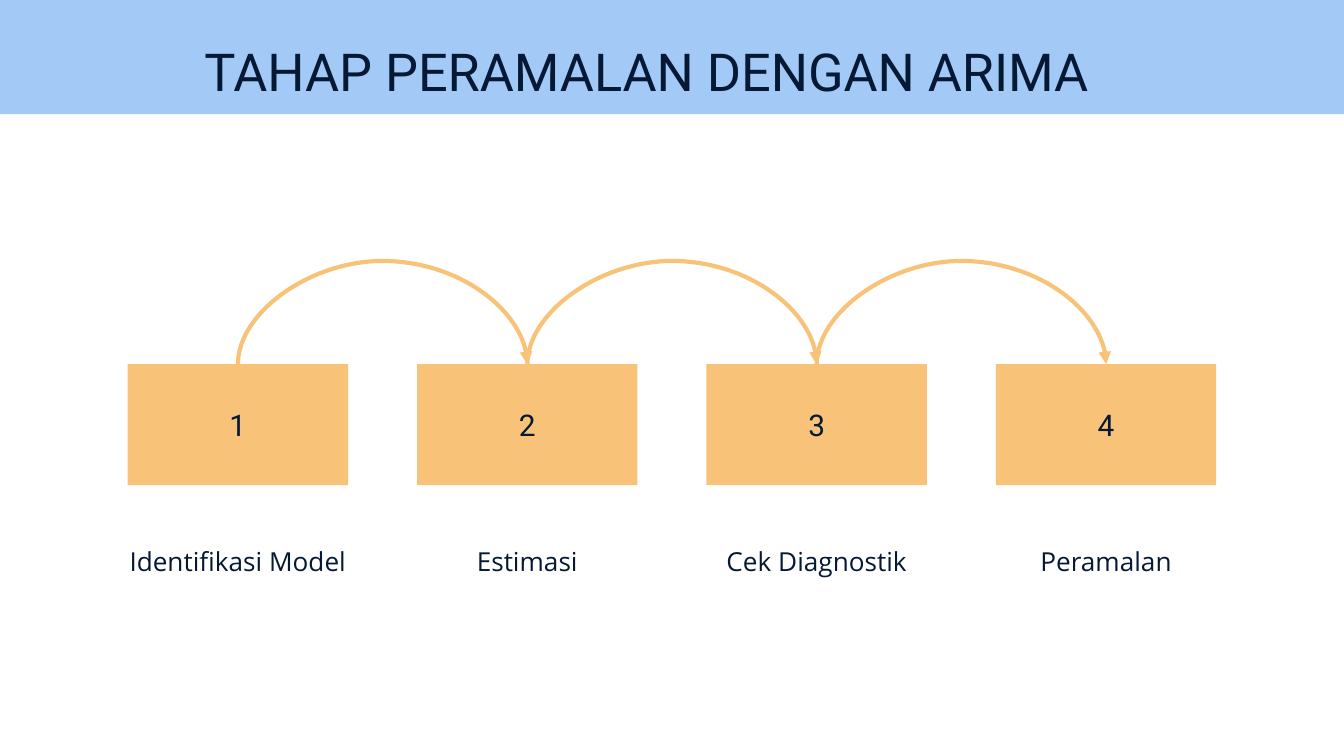
from lxml import etree
from pptx import Presentation
from pptx import util as u
from pptx.dml.color import RGBColor
from pptx.enum import shapes, text
from pptx.oxml.ns import qn

COLORS = {"band": "A3CAF7", "step": "F8C379", "ink": "051934", "paper": "FFFFFF"}
STEPS = ["Identifikasi Model", "Estimasi", "Cek Diagnostik", "Peramalan"]
FORMATS = {
    "title": {"name": "Roboto", "size": u.Pt(28), "bold": False},
    "number": {"name": "Roboto", "size": u.Pt(16), "bold": False},
    "label": {"name": "Open Sans", "size": u.Pt(14), "bold": False},
}
ALIGN, ANCHOR = text.PP_ALIGN, text.MSO_ANCHOR


def rgb(key):
    """Return the named colour."""
    return RGBColor.from_string(COLORS[key])


def place(sp, x, y, w, h):
    """Set a shape's box in inches."""
    for name, value in {"left": x, "top": y, "width": w, "height": h}.items():
        setattr(sp, name, u.Inches(value))


def write(sp, words, style, align, anchor):
    """Write one formatted paragraph into a shape."""
    tf = sp.text_frame
    tf.text = words
    frame = {"word_wrap": True, "auto_size": text.MSO_AUTO_SIZE.NONE, "vertical_anchor": anchor}
    frame.update({f"margin_{side}": u.Inches(0.1) for side in ("left", "top", "right", "bottom")})
    for name, value in frame.items():
        setattr(tf, name, value)
    p = tf.paragraphs[0]
    pPr = p._p.get_or_add_pPr()
    pPr.set("marL", "0")
    pPr.set("indent", "0")
    etree.SubElement(pPr, qn("a:buNone"))
    p.alignment = align
    p.space_before = u.Pt(0)
    font = p.runs[0].font
    for name, value in FORMATS[style].items():
        setattr(font, name, value)
    font.color.rgb = rgb("ink")


def add_box(s, color, x, y, w, h):
    """Add a plain filled rectangle."""
    sp = s.shapes.add_shape(shapes.MSO_SHAPE.RECTANGLE, *map(u.Inches, (x, y, w, h)))
    sp.shadow.inherit = False
    sp.fill.solid()
    sp.fill.fore_color.rgb = rgb(color)
    sp.line.fill.background()
    return sp


def add_header(s, x, y, w, h):
    """Add the band and place the title on it."""
    band = add_box(s, "band", x, y, w, h)
    s.shapes._spTree.insert(2, band._element)
    title = s.shapes.title
    place(title, x + 1.42, y + 0.19, 7.73, 0.63)
    write(title, "TAHAP PERAMALAN DENGAN ARIMA", "title", ALIGN.LEFT, ANCHOR.TOP)


def add_arc(s, start, end):
    """Join the tops of two steps with an arched arrow."""
    x1, x2 = (sp.left + sp.width // 2 for sp in (start, end))
    y, thin, rise = start.top, 600, u.Inches(0.64)
    c = s.shapes.add_connector(shapes.MSO_CONNECTOR.CURVE, x1, y, x2, y)
    c.begin_connect(start, 0)
    c.end_connect(end, 0)
    span = x2 - x1
    box = {"left": (x1 + x2 - thin) // 2, "top": y - span // 2, "width": thin, "height": span}
    for name, value in box.items():
        setattr(c, name, value)
    spPr = c._element.spPr
    xfrm = spPr.find(qn("a:xfrm"))
    xfrm.set("rot", str(270 * 60000))
    xfrm.set("flipH", "1")
    guides = spPr.find(qn("a:prstGeom")).get_or_add_avLst()
    etree.SubElement(guides, qn("a:gd"), name="adj1", fmla=f"val {-rise * 100000 // thin}")
    c.line.color.rgb = rgb("step")
    c.line.width = u.Pt(2.25)
    etree.SubElement(c.line._get_or_add_ln(), qn("a:tailEnd"), type="triangle")
    etree.SubElement(spPr, qn("a:effectLst"))


def add_steps(s, x, y, w, h):
    """Add the numbered steps, their labels and the arcs between them."""
    box_w, box_h, label_w = 1.64, 0.9, 1.83
    pitch = (w - box_w) / (len(STEPS) - 1)
    boxes = []
    for i, label in enumerate(STEPS):
        left = x + i * pitch
        box = add_box(s, "step", left, y, box_w, box_h)
        write(box, str(i + 1), "number", ALIGN.CENTER, ANCHOR.MIDDLE)
        boxes.append(box)
        caption = s.placeholders[i + 1]
        place(caption, left + (box_w - label_w) / 2, y + 1.25, label_w, h - 1.25)
        write(caption, label, "label", ALIGN.CENTER, ANCHOR.TOP)
    for start, end in zip(boxes, boxes[1:]):
        add_arc(s, start, end)


def main():
    """Build and save the slide."""
    prs = Presentation()
    prs.slide_width = u.Inches(10)
    prs.slide_height = prs.slide_width * 9 // 16
    s = prs.slides.add_slide(prs.slide_layouts.get_by_name("Comparison"))
    s.background.fill.solid()
    s.background.fill.fore_color.rgb = rgb("paper")
    add_header(s, 0, 0, 10, 0.85)
    add_steps(s, 0.95, 2.71, 8.1, 2.1)
    prs.save("out.pptx")


if __name__ == "__main__":
    main()
